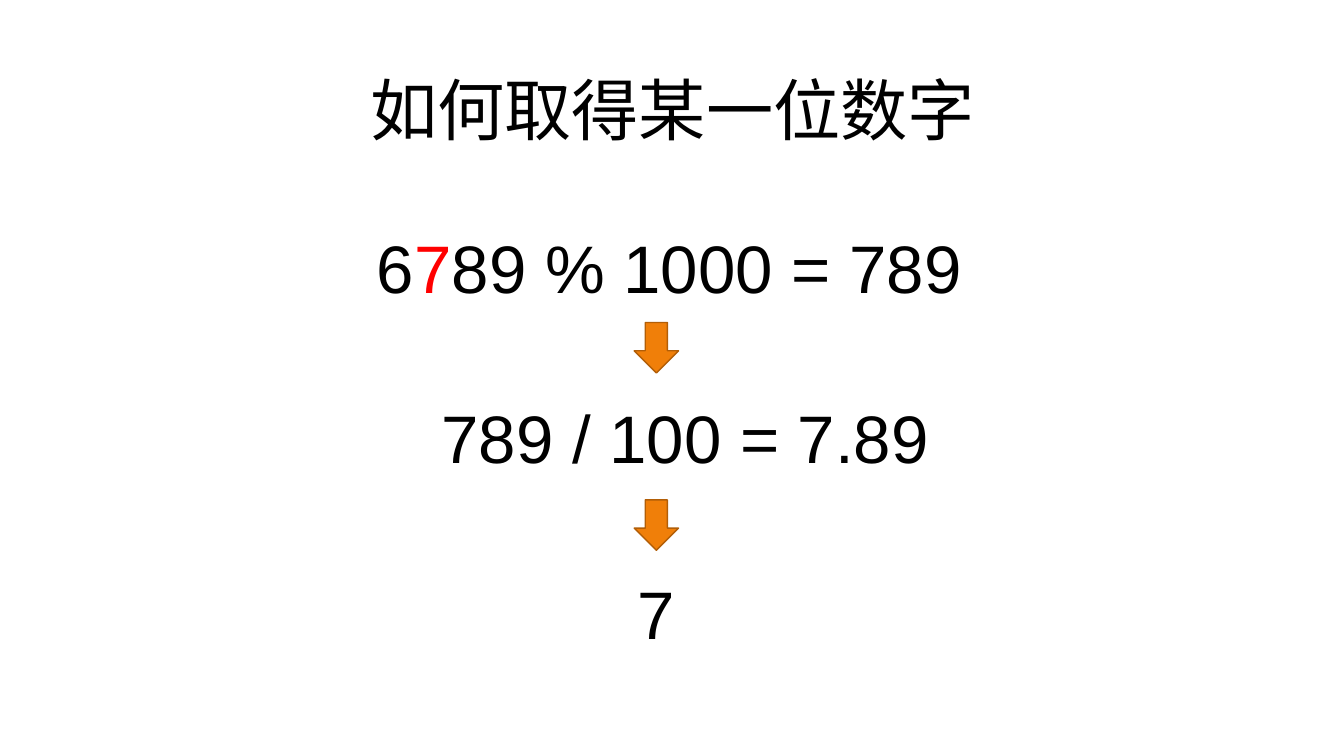
"""Build the slide on extracting one digit from a number."""

from dataclasses import dataclass

from pptx import Presentation
from pptx.dml.color import RGBColor
from pptx.enum.shapes import MSO_SHAPE
from pptx.enum.text import MSO_ANCHOR, MSO_AUTO_SIZE, PP_ALIGN
from pptx.slide import Slide
from pptx.text.text import _Paragraph as Paragraph
from pptx.util import Emu, Pt

PX = 9144
BLACK = RGBColor(0x00, 0x00, 0x00)
RED = RGBColor(0xFF, 0x00, 0x00)
ORANGE = RGBColor(0xF0, 0x7F, 0x09)
BROWN = RGBColor(0xB2, 0x5E, 0x07)
DOWN_ARROW = MSO_SHAPE.DOWN_ARROW
MIDDLE = MSO_ANCHOR.MIDDLE
CENTER = PP_ALIGN.CENTER
FIXED_SIZE = MSO_AUTO_SIZE.NONE
FIT_TEXT = MSO_AUTO_SIZE.SHAPE_TO_FIT_TEXT
TITLE_ONLY = 5
TEXT_SIZE = Pt(48)
STEP_HEIGHT = 91
ARROW_LEFT, ARROW_WIDTH, ARROW_HEIGHT = 629, 44, 50


@dataclass(frozen=True)
class Span:
    text: str
    color: RGBColor = BLACK


@dataclass(frozen=True)
class Step:
    left: int
    top: int
    width: int
    spans: tuple[Span, ...]


STEPS = (
    Step(364, 220, 607, (Span("6"), Span("7", RED), Span("89 % 1000 = 789"))),
    Step(428, 388, 510, (Span("789 / 100 = 7.89"),)),
    Step(622, 563, 58, (Span("7"),)),
)
ARROW_TOPS = (320, 496)


def px(length: int) -> Emu:
    return Emu(length * PX)


def add_span(para: Paragraph, span: Span, font_name: str) -> None:
    run = para.add_run()
    run.text = span.text
    run.font.name = font_name
    run.font.size = TEXT_SIZE
    run.font.color.rgb = span.color


def set_title(page: Slide, text: str) -> None:
    title = page.shapes.title
    title.left, title.top = px(92), px(40)
    title.width, title.height = px(1150), px(145)
    frame = title.text_frame
    frame.auto_size = FIXED_SIZE
    frame.vertical_anchor = MIDDLE
    para = frame.paragraphs[0]
    para.alignment = CENTER
    para.line_spacing = 0.9
    add_span(para, Span(text), "Roboto")


def add_step(page: Slide, step: Step) -> None:
    box = page.shapes.add_textbox(
        px(step.left), px(step.top), px(step.width), px(STEP_HEIGHT)
    )
    frame = box.text_frame
    frame.word_wrap = False
    frame.auto_size = FIT_TEXT
    for span in step.spans:
        add_span(frame.paragraphs[0], span, "Arial")


def add_arrow(page: Slide, top: int) -> None:
    arrow = page.shapes.add_shape(
        DOWN_ARROW, px(ARROW_LEFT), px(top), px(ARROW_WIDTH), px(ARROW_HEIGHT)
    )
    arrow.shadow.inherit = False
    arrow.fill.solid()
    arrow.fill.fore_color.rgb = ORANGE
    arrow.line.color.rgb = BROWN
    arrow.line.width = Pt(1)


def main() -> None:
    deck = Presentation()
    deck.slide_width, deck.slide_height = px(1333), px(750)
    page = deck.slides.add_slide(deck.slide_layouts[TITLE_ONLY])
    set_title(page, "如何取得某一位数字")
    for step in STEPS:
        add_step(page, step)
    for top in ARROW_TOPS:
        add_arrow(page, top)
    deck.save("out.pptx")


if __name__ == "__main__":
    main()
